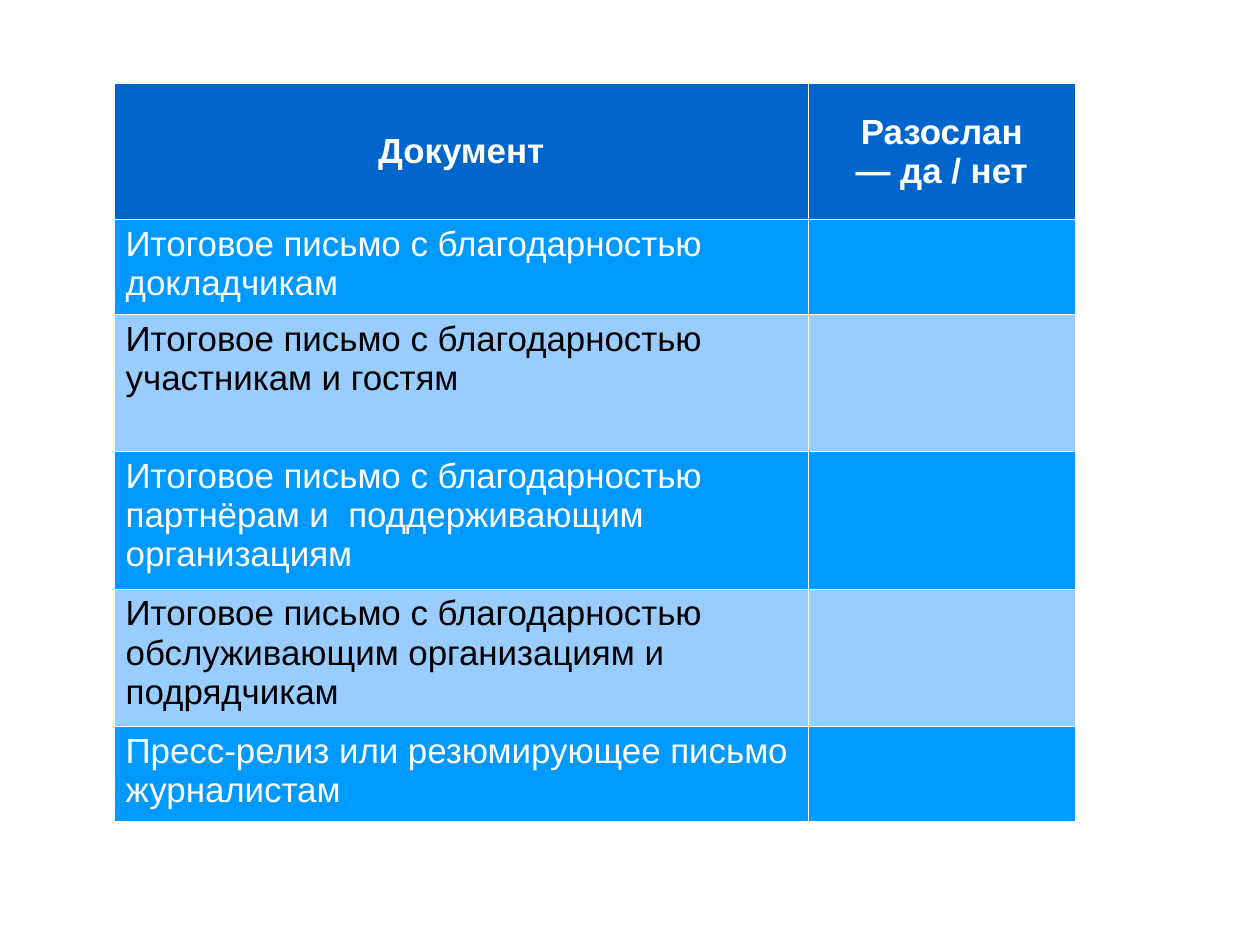
from dataclasses import dataclass

from lxml.etree import SubElement
from pptx import Presentation
from pptx.dml.color import RGBColor
from pptx.enum.text import MSO_ANCHOR as Anchor, PP_ALIGN as Align
from pptx.oxml.ns import qn
from pptx.util import Inches, Pt


@dataclass(frozen=True)
class Theme:
    font: str = "Arial"
    size: int = 22
    header: str = "0066CC"
    dark_band: str = "0099FF"
    light_band: str = "99CCFF"
    white: str = "FFFFFF"
    black: str = "000000"
    border: float = 0.06


theme = Theme()


def write(cell, text, *, color, bold=False, align=Align.LEFT, anchor=Anchor.TOP):
    """Fill a cell with text, one paragraph per line."""
    cell.text = text
    cell.vertical_anchor = anchor
    for paragraph in cell.text_frame.paragraphs:
        paragraph.alignment = align
        for run in paragraph.runs:
            run.font.name = theme.font
            run.font.size = Pt(theme.size)
            run.font.bold = bold
            run.font.color.rgb = RGBColor.from_string(color)


def paint(cell, fill):
    """Give a cell its thin borders and its fill."""
    properties = cell._tc.get_or_add_tcPr()
    for side in ("a:lnL", "a:lnR", "a:lnT", "a:lnB"):
        border = SubElement(properties, qn(side), w=str(Pt(theme.border)))
        SubElement(SubElement(border, qn("a:solidFill")), qn("a:srgbClr"), val=theme.white)
    cell.fill.solid()
    cell.fill.fore_color.rgb = RGBColor.from_string(fill)


headings = ["Документ", "Разослан\n— да / нет"]
documents = [
    "Итоговое письмо с благодарностью докладчикам",
    "Итоговое письмо с благодарностью участникам и гостям",
    "Итоговое письмо с благодарностью партнёрам и  поддерживающим организациям",
    "Итоговое письмо с благодарностью обслуживающим организациям и подрядчикам",
    "Пресс-релиз или резюмирующее письмо журналистам",
]
column_widths = [6.07, 2.34]
row_heights = [1.19, 0.83, 1.2, 1.2, 1.2, 0.83]
cm_per_inch = 2.54

deck = Presentation()
deck.slide_width = Inches(28 / cm_per_inch)
deck.slide_height = Inches(21 / cm_per_inch)
slide = deck.slides.add_slide(deck.slide_layouts[6])

checklist = slide.shapes.add_table(
    len(row_heights), len(column_widths), Inches(1), Inches(0.73),
    Inches(sum(column_widths)), Inches(sum(row_heights))).table
checklist.horz_banding = False
for column, width in zip(checklist.columns, column_widths):
    column.width = Inches(width)
for row, height in zip(checklist.rows, row_heights):
    row.height = Inches(height)

for column, heading in enumerate(headings):
    header_cell = checklist.cell(0, column)
    write(header_cell, heading, color=theme.white, bold=True,
          align=Align.CENTER, anchor=Anchor.MIDDLE)
    paint(header_cell, theme.header)

bands = [(theme.light_band, theme.black), (theme.dark_band, theme.white)]
for row, document in enumerate(documents, start=1):
    band, ink = bands[row % 2]
    write(checklist.cell(row, 0), document, color=ink)
    for column in range(len(headings)):
        paint(checklist.cell(row, column), band)

deck.save("out.pptx")
